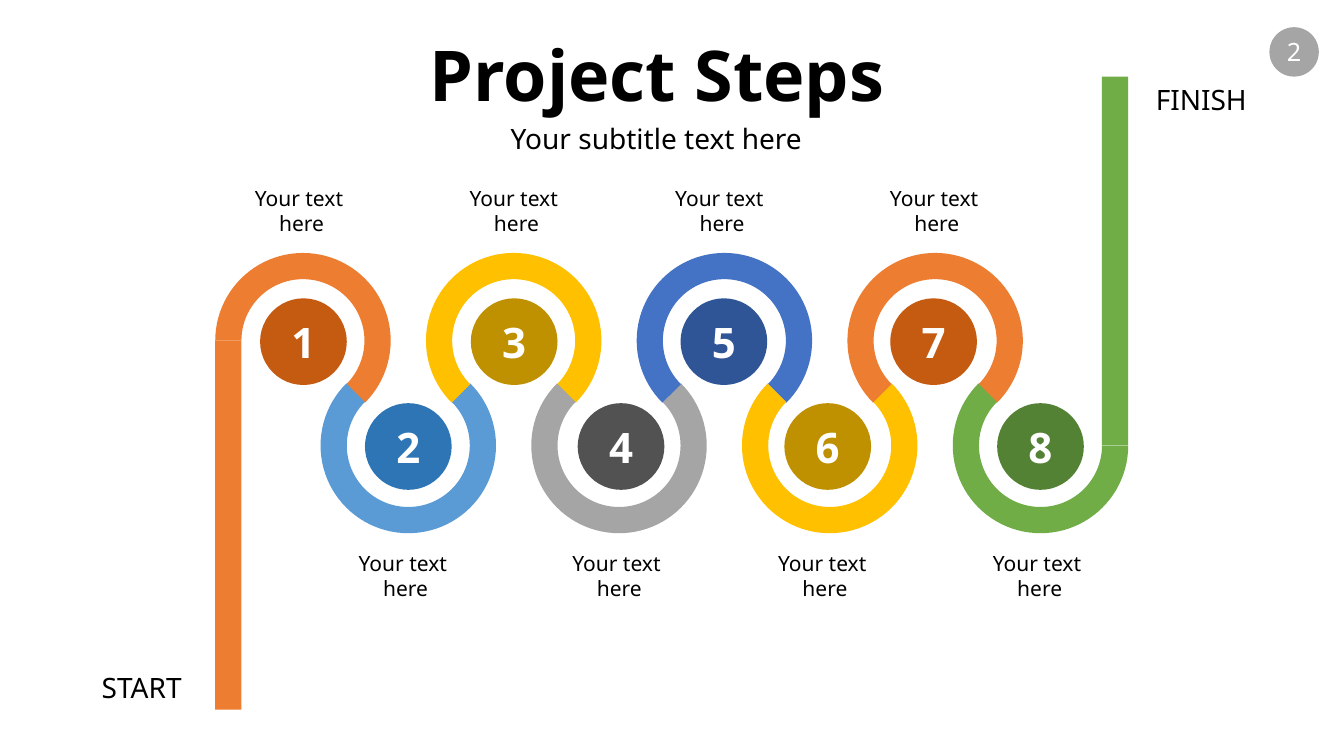
from pptx import Presentation
from pptx.dml.color import RGBColor
from pptx.enum.shapes import MSO_SHAPE
from pptx.enum.text import MSO_ANCHOR, MSO_AUTO_SIZE, PP_ALIGN
from pptx.util import Emu, Pt

PX = 9144
FONT = "Noto Sans"
RING_RADIUS = 87
BAND = 26
FIRST_CENTER = 300.5
CENTER_PITCH = 104.5
UPPER_CENTER = 338
LOWER_CENTER = 442
START_LEG_BOTTOM = 704
FINISH_LEG_TOP = 76
ANGLE_UNIT = 0.6

STEPS = [
    ("ED7D31", "C55A11", 258, 231),
    ("5B9BD5", "2E75B6", 362, 334),
    ("FFC000", "BF9000", 467, 444),
    ("A5A5A5", "525252", 573, 546),
    ("4472C4", "2F5597", 675, 648),
    ("FFC000", "BF9000", 778, 750),
    ("ED7D31", "C55A11", 883, 861),
    ("70AD47", "548235", 989, 963),
]


def px(value):
    return Emu(round(value * PX))


def color(value):
    return RGBColor.from_string(value)


def add_filled(slide, kind, left, top, width, height, fill):
    shape = slide.shapes.add_shape(kind, px(left), px(top), px(width), px(height))
    shape.shadow.inherit = False
    shape.fill.solid()
    shape.fill.fore_color.rgb = color(fill)
    shape.line.fill.background()
    return shape


def write(shape, lines, size, bold=False, ink="000000"):
    frame = shape.text_frame
    for index, line in enumerate(lines):
        paragraph = frame.paragraphs[0] if index == 0 else frame.add_paragraph()
        paragraph.alignment = PP_ALIGN.CENTER
        run = paragraph.add_run()
        run.text = line
        run.font.name = FONT
        run.font.size = Pt(size)
        run.font.bold = bold
        run.font.color.rgb = color(ink)


def add_title(slide, text, left, top, width, height):
    title = slide.shapes.title
    title.left, title.top = px(left), px(top)
    title.width, title.height = px(width), px(height)
    title.text_frame.word_wrap = True
    title.text_frame.auto_size = MSO_AUTO_SIZE.SHAPE_TO_FIT_TEXT
    title.text_frame.vertical_anchor = MSO_ANCHOR.TOP
    write(title, [text], 50, bold=True)


def add_label(slide, lines, left, top, width, height, size):
    label = slide.shapes.add_textbox(px(left), px(top), px(width), px(height))
    label.text_frame.word_wrap = True
    label.text_frame.auto_size = MSO_AUTO_SIZE.SHAPE_TO_FIT_TEXT
    write(label, lines, size)


def add_disc(slide, text, left, top, diameter, fill, size, bold=False, wrap=True):
    disc = add_filled(slide, MSO_SHAPE.OVAL, left, top, diameter, diameter, fill)
    disc.text_frame.word_wrap = wrap
    disc.text_frame.vertical_anchor = MSO_ANCHOR.MIDDLE
    write(disc, [text], size, bold, "FFFFFF")


def add_bend(slide, center_x, center_y, first_angle, last_angle, fill):
    diameter = 2 * RING_RADIUS
    bend = add_filled(
        slide, MSO_SHAPE.BLOCK_ARC, center_x - RING_RADIUS, center_y - RING_RADIUS,
        diameter, diameter, fill,
    )
    bend.adjustments[0] = first_angle * ANGLE_UNIT
    bend.adjustments[1] = last_angle * ANGLE_UNIT
    bend.adjustments[2] = BAND / diameter


def add_leg(slide, left, top, bottom, fill):
    add_filled(slide, MSO_SHAPE.RECTANGLE, left, top, BAND, bottom - top, fill)


def add_step(slide, number, ring_fill, disc_fill, disc_left, label_left):
    center_x = FIRST_CENTER + CENTER_PITCH * (number - 1)
    if number % 2 == 1:
        center_y, disc_top, label_top = UPPER_CENTER, 296, 179
        first_angle, last_angle = 135, 45
    else:
        center_y, disc_top, label_top = LOWER_CENTER, 400, 541
        first_angle, last_angle = 315, 225
    if number == 1:
        first_angle = 180
        add_leg(slide, center_x - RING_RADIUS, center_y, START_LEG_BOTTOM, ring_fill)
    elif number == len(STEPS):
        first_angle = 0
        add_leg(slide, center_x + RING_RADIUS - BAND, FINISH_LEG_TOP, center_y, ring_fill)
    add_bend(slide, center_x, center_y, first_angle, last_angle, ring_fill)
    add_disc(slide, str(number), disc_left, disc_top, 86, disc_fill, 30, bold=True)
    add_label(slide, ["Your text", " here"], label_left, label_top, 131, 61, 15)


def main():
    presentation = Presentation()
    presentation.slide_width = px(1333)
    presentation.slide_height = px(750)
    slide = presentation.slides.add_slide(presentation.slide_layouts[5])

    add_title(slide, "Project Steps", 287, 26, 729, 94)
    add_label(slide, ["Your subtitle text here"], 189, 116, 924, 44, 20)
    for number, step in enumerate(STEPS, start=1):
        add_step(slide, number, *step)
    add_label(slide, ["START"], 82, 660, 117, 44, 20)
    add_label(slide, ["FINISH"], 1136, 77, 111, 44, 20)
    add_disc(slide, "2", 1259, 27, 49, "A5A5A5", 18, wrap=False)

    presentation.save("out.pptx")


if __name__ == "__main__":
    main()
